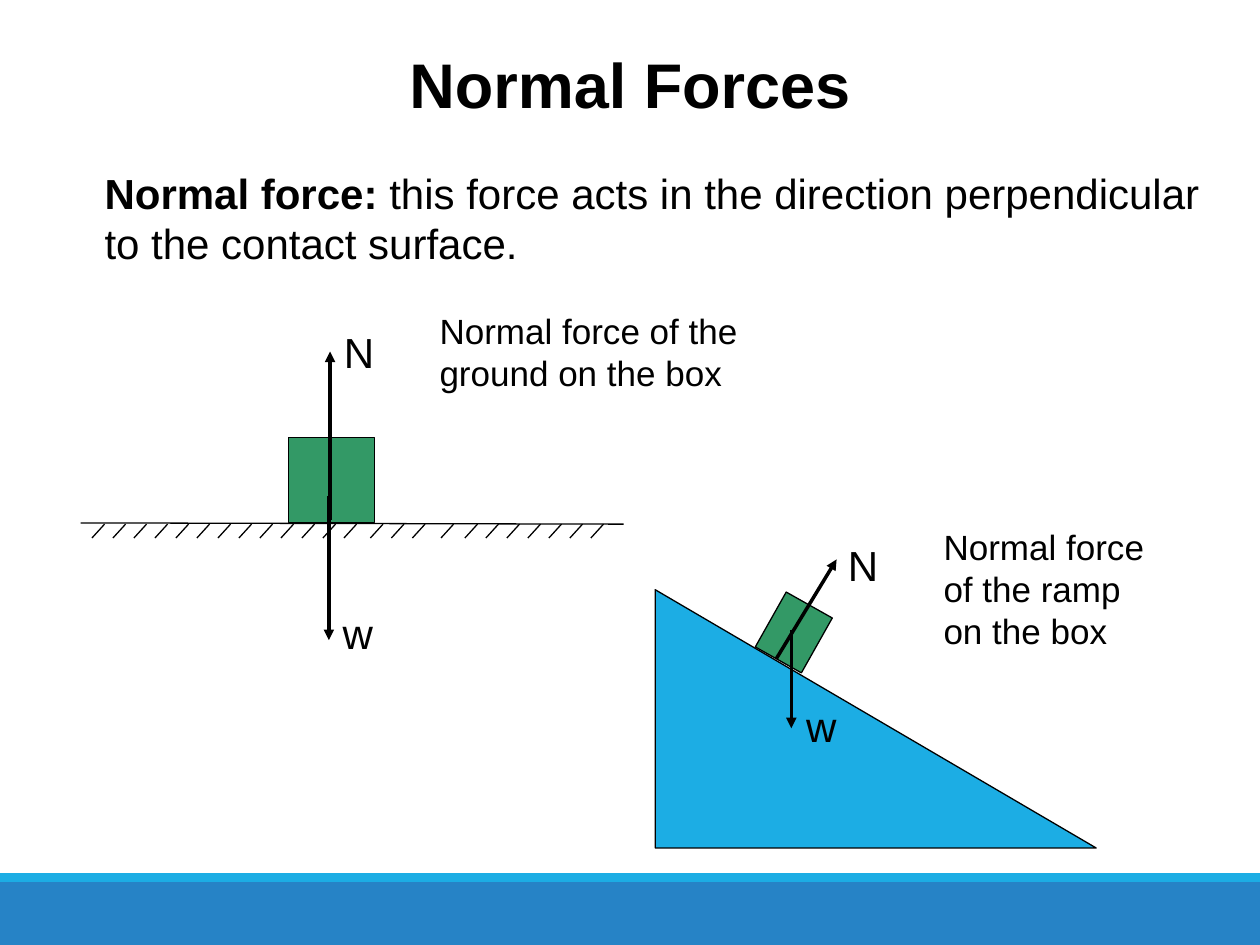
"""Build a slide that shows normal forces on flat ground and on a ramp."""
from dataclasses import dataclass

from lxml import etree
from pptx import Presentation
from pptx.dml.color import RGBColor
from pptx.enum.shapes import MSO_CONNECTOR, MSO_SHAPE
from pptx.enum.text import MSO_ANCHOR, MSO_AUTO_SIZE, PP_ALIGN
from pptx.oxml.ns import qn
from pptx.shapes.autoshape import Shape
from pptx.shapes.shapetree import GroupShapes, SlideShapes
from pptx.text.text import TextFrame
from pptx.util import Inches, Pt

BLACK = RGBColor(0, 0, 0)
GREEN = RGBColor(0x33, 0x99, 0x66)
SKY = RGBColor(0x1C, 0xAD, 0xE4)
BLUE = RGBColor(0x26, 0x83, 0xC6)
RECT = MSO_SHAPE.RECTANGLE
RAMP = MSO_SHAPE.RIGHT_TRIANGLE
STRAIGHT = MSO_CONNECTOR.STRAIGHT
TOP, MIDDLE = MSO_ANCHOR.TOP, MSO_ANCHOR.MIDDLE
LEFT, CENTER = PP_ALIGN.LEFT, PP_ALIGN.CENTER
NO_FIT = MSO_AUTO_SIZE.NONE
FONT = "Arial"
THIN, THICK = 0.74, 2
STEP = 1 / 6
HATCH = [(0.83, 13), (3.04, 3), (3.6, 1), (3.79, 7)]

Box = tuple[float, float, float, float]
Tree = SlideShapes | GroupShapes


@dataclass
class Block:
    """A filled shape."""
    kind: MSO_SHAPE
    box: Box
    fill: RGBColor
    edge: bool = True
    turn: float = 0


@dataclass
class Label:
    """A plain piece of text."""
    text: str
    box: Box
    size: int = 24


@dataclass
class Line:
    """A straight line with an optional arrowhead."""
    ends: Box
    width: float = THIN
    arrow: bool = False


def write(frame: TextFrame, runs: list[tuple[str, bool]], size: int,
          align: PP_ALIGN = LEFT, anchor: MSO_ANCHOR = TOP) -> None:
    """Fill a text frame with one paragraph of formatted runs."""
    form = {"word_wrap": True, "auto_size": NO_FIT, "vertical_anchor": anchor,
            "margin_left": Inches(0.1), "margin_right": Inches(0.1),
            "margin_top": Inches(0.05), "margin_bottom": Inches(0.05)}
    for key, value in form.items():
        setattr(frame, key, value)
    para = frame.paragraphs[0]
    para.alignment = align
    para.space_before = Pt(0)
    for text, bold in runs:
        run = para.add_run()
        run.text = text
        look = {"name": FONT, "size": Pt(size), "bold": bold}
        for key, value in look.items():
            setattr(run.font, key, value)
        run.font.color.rgb = BLACK


def place(shape: Shape, box: Box) -> None:
    """Move a placeholder to its box."""
    for key, value in zip(("left", "top", "width", "height"), box):
        setattr(shape, key, Inches(value))


def add_block(tree: Tree, item: Block) -> None:
    """Draw a filled shape."""
    shape = tree.add_shape(item.kind, *map(Inches, item.box))
    shape.shadow.inherit = False
    shape.rotation = item.turn
    shape.fill.solid()
    shape.fill.fore_color.rgb = item.fill
    if item.edge:
        shape.line.color.rgb = BLACK
        shape.line.width = Pt(THIN)
    else:
        shape.line.fill.background()


def add_label(tree: Tree, item: Label) -> None:
    """Draw a text box."""
    box = tree.add_textbox(*map(Inches, item.box))
    write(box.text_frame, [(item.text, False)], item.size)


def add_line(tree: Tree, item: Line) -> None:
    """Draw a line or an arrow."""
    line = tree.add_connector(STRAIGHT, *map(Inches, item.ends))
    line.line.color.rgb = BLACK
    line.line.width = Pt(item.width)
    if item.arrow:
        pen = line.line._get_or_add_ln()
        etree.SubElement(pen, qn("a:tailEnd"), type="triangle")
    etree.SubElement(line._element.spPr, qn("a:effectLst"))


def draw(tree: Tree, items: list[Block | Label | Line]) -> None:
    """Draw the items from back to front."""
    tools = {Block: add_block, Label: add_label, Line: add_line}
    for item in items:
        tools[type(item)](tree, item)


def main() -> None:
    """Build and save the slide."""
    deck = Presentation()
    deck.slide_width, deck.slide_height = Inches(10), Inches(7.5)
    slide = deck.slides.add_slide(deck.slide_layouts[1])
    tree = slide.shapes

    title, body = tree.title, slide.placeholders[1]
    place(title, (0.5, 0.3, 9, 0.72))
    write(title.text_frame, [("Normal Forces", True)], 36, CENTER, MIDDLE)
    place(body, (0.73, 1.28, 9.06, 0.9))
    write(body.text_frame, [
        ("Normal force:", True),
        (" this force acts in the direction perpendicular"
         " to the contact surface.", False)], 24)
    props = body.text_frame.paragraphs[0]._p.get_or_add_pPr()
    for key in ("marL", "indent"):
        props.set(key, "0")
    etree.SubElement(props, qn("a:buNone"))

    draw(tree, [Block(RECT, (0, 7, 10, 0.5), BLUE, False),
                Block(RECT, (0, 6.93, 10, 0.07), SKY, False)])
    draw(tree.add_group_shape().shapes, [
        Label("Normal force of the ramp on the box", (7.39, 4.12, 1.9, 1.1), 20),
        Block(RAMP, (5.2, 4.68, 3.5, 2.05), SKY),
        Block(RECT, (6.09, 4.77, 0.42, 0.5), GREEN, turn=29.4),
        Line((6.16, 5.23, 6.64, 4.44), THICK, True),
        Label("N", (6.63, 4.23, 0.79, 0.5)),
        Line((6.28, 5, 6.28, 5.78), THICK, True),
        Label("w", (6.3, 5.51, 0.77, 0.5))])

    marks = [start + STEP * i for start, count in HATCH for i in range(count)]
    draw(tree.add_group_shape().shapes, [
        Label("Normal force of the ground on the box", (3.39, 2.41, 3, 0.77), 20),
        Block(RECT, (2.29, 3.47, 0.68, 0.68), GREEN),
        Line((0.64, 4.15, 4.95, 4.16)),
        *[Line((x, 4.16, x - 0.1, 4.27)) for x in marks],
        Line((2.62, 4.13, 2.62, 2.79), THICK, True),
        Label("N", (2.63, 2.54, 0.81, 0.5)),
        Line((2.61, 3.94, 2.61, 5.08), THICK, True),
        Label("w", (2.62, 4.77, 0.89, 0.5))])
    deck.save("out.pptx")


main()
